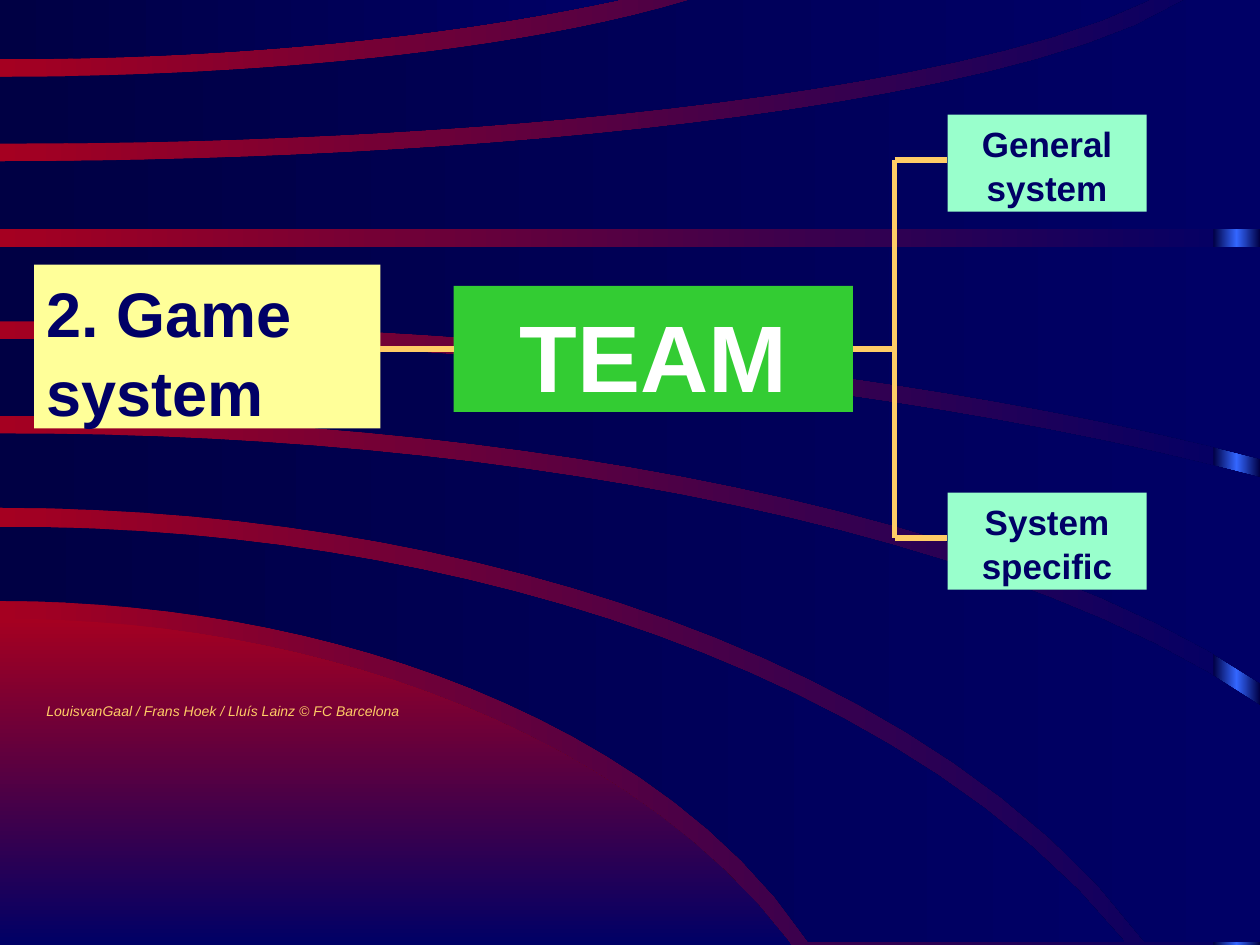
from copy import deepcopy
from dataclasses import dataclass
from math import sqrt

from lxml import etree
from pptx import Presentation
from pptx.dml.color import RGBColor
from pptx.enum import shapes, text
from pptx.oxml.ns import qn
from pptx.util import Inches, Pt


@dataclass(frozen=True)
class Theme:
    font: str = "Arial"
    navy: str = "000066"
    night: str = "000044"
    red: str = "A50021"
    blue: str = "3366FF"
    gold: str = "FFCC66"
    yellow: str = "FFFF99"
    green: str = "33CC33"
    mint: str = "99FFCC"
    white: str = "FFFFFF"
    heading: int = 36
    team: int = 54
    branch: int = 20
    credit: int = 8
    line: int = 3


@dataclass(frozen=True)
class Box:
    label: str
    place: tuple
    fill: str
    size: int
    color: str
    align: text.PP_ALIGN = text.PP_ALIGN.CENTER


@dataclass(frozen=True)
class Arc:
    """Part of an ellipse that leaves the left edge level; bend 0 to 1 is its curvature."""
    start_y: float
    end_x: float
    end_y: float
    bend: float = 0.5

    def points(self, steps: int = 24) -> list:
        drop = (self.end_y - self.start_y) / (1 - sqrt(1 - self.bend))
        shares = [i / steps for i in range(steps + 1)]
        return [(self.end_x * u, self.start_y + drop * (1 - sqrt(1 - self.bend * u * u)))
                for u in shares]


T = Theme()
WIDTH, HEIGHT = 10, 7.5

# Upper and lower edge of the hill and of each dark band, from bottom to top
HILL = (Arc(4.91, 6.28, 7.5, 0.8), Arc(7.5, 6.28, 7.5))
BANDS = [
    (Arc(4.18, 8.93, 7.48, 0.82), Arc(4.77, 6.42, 7.48, 0.85)),
    (Arc(3.44, 10, 5.6, 0.8), Arc(4.03, 9.09, 7.48, 0.85)),
    (Arc(2.69, 10, 3.79), Arc(3.3, 10, 5.42, 0.8)),
    (Arc(1.96, 10, 1.96), Arc(2.55, 10, 3.64)),
    (Arc(1.28, 9.4, 0, 0.93), Arc(1.82, 10, 1.82)),
    (Arc(0.61, 5.48, 0, 0.67), Arc(1.14, 9.12, 0, 0.89)),
    (Arc(0, 4.91, 0), Arc(0.47, 4.91, 0, 0.35)),
]


def set_gradient(fill, colors: tuple, angle: int = 0) -> None:
    fill.gradient()
    fill.gradient_angle = angle
    recolor_stops(fill, colors)


def recolor_stops(fill, colors: tuple) -> None:
    last = len(colors) - 1
    for i, (stop, color) in enumerate(zip(fill.gradient_stops, colors)):
        stop.position = i / last
        stop.color.rgb = RGBColor.from_string(color)


def clear_edges(sp) -> None:
    sp.shadow.inherit = False
    sp.line.fill.background()


def add_band(slide, upper: Arc, lower: Arc, colors: tuple, angle: int = 0) -> None:
    points = upper.points()
    if upper.end_x != lower.end_x and upper.end_y != lower.end_y:
        shorter = min(upper, lower, key=lambda arc: arc.end_x)
        points.append((max(upper.end_x, lower.end_x), shorter.end_y))
    points += reversed(lower.points())
    start, *rest = [(Inches(x), Inches(y)) for x, y in points]
    builder = slide.shapes.build_freeform(*start)
    builder.add_line_segments(rest)
    sp = builder.convert_to_shape()
    clear_edges(sp)
    set_gradient(sp.fill, colors, angle)


def add_glow(slide) -> None:
    sp = slide.shapes.add_shape(shapes.MSO_SHAPE.RECTANGLE, Inches(9.63), 0,
                                Inches(0.37), Inches(HEIGHT))
    clear_edges(sp)
    set_gradient(sp.fill, (T.night, T.blue))
    stops = sp._element.spPr.find(qn("a:gradFill")).find(qn("a:gsLst"))
    stops.append(deepcopy(stops[-1]))
    recolor_stops(sp.fill, (T.night, T.blue, T.night))


def write(sp, label: str, color: str, formats: dict, align, spacing: float = 1.0) -> None:
    tf = sp.text_frame
    tf.vertical_anchor = text.MSO_ANCHOR.TOP
    p = tf.paragraphs[0]
    p.alignment, p.line_spacing = align, spacing
    r = p.add_run()
    r.text = label
    for name, value in {"name": T.font, **formats}.items():
        setattr(r.font, name, value)
    r.font.color.rgb = RGBColor.from_string(color)


def add_box(slide, box: Box):
    sp = slide.shapes.add_shape(shapes.MSO_SHAPE.RECTANGLE, *map(Inches, box.place))
    clear_edges(sp)
    sp.fill.solid()
    sp.fill.fore_color.rgb = RGBColor.from_string(box.fill)
    write(sp, box.label, box.color, {"size": Pt(box.size), "bold": True}, box.align, 1.05)
    return sp


def add_line(slide, start: tuple, end: tuple):
    line = slide.shapes.add_connector(shapes.MSO_CONNECTOR.STRAIGHT, *map(Inches, start + end))
    line.line.width = Pt(T.line)
    line.line.color.rgb = RGBColor.from_string(T.gold)
    etree.SubElement(line._element.spPr, qn("a:effectLst"))
    return line


def main() -> None:
    prs = Presentation()
    prs.slide_width, prs.slide_height = Inches(WIDTH), Inches(HEIGHT)
    s = prs.slides.add_slide(prs.slide_layouts[6])

    # Background
    set_gradient(s.background.fill, (T.red, T.navy))
    add_glow(s)
    add_band(s, *HILL, (T.red, T.navy), 270)
    for upper, lower in BANDS:
        add_band(s, upper, lower, (T.night, T.navy))

    # Boxes
    add_box(s, Box("2. Game system", (0.27, 2.1, 2.75, 1.3), T.yellow, T.heading, T.navy,
                   text.PP_ALIGN.LEFT))
    team = add_box(s, Box("TEAM", (3.6, 2.27, 3.17, 1), T.green, T.team, T.white))
    for label, top in (("General system", 0.91), ("System specific", 3.91)):
        add_box(s, Box(label, (7.52, top, 1.58, 0.77), T.mint, T.branch, T.navy))

    # Lines of the tree
    trunk, middle, ends = 7.1, 2.77, (1.27, 4.27)
    add_line(s, (3.02, middle), (3.6, middle)).end_connect(team, 1)
    add_line(s, (6.77, middle), (trunk, middle)).begin_connect(team, 3)
    add_line(s, (trunk, ends[0]), (trunk, ends[1]))
    for y in ends:
        add_line(s, (trunk, y), (7.52, y))

    # Credit line
    credit = s.shapes.add_textbox(*map(Inches, (0.27, 5.53, 3.04, 0.23)))
    credit.text_frame.word_wrap = False
    write(credit, "LouisvanGaal / Frans Hoek / Lluís Lainz © FC Barcelona", T.gold,
          {"size": Pt(T.credit), "italic": True}, text.PP_ALIGN.LEFT)

    prs.save("out.pptx")


if __name__ == "__main__":
    main()
